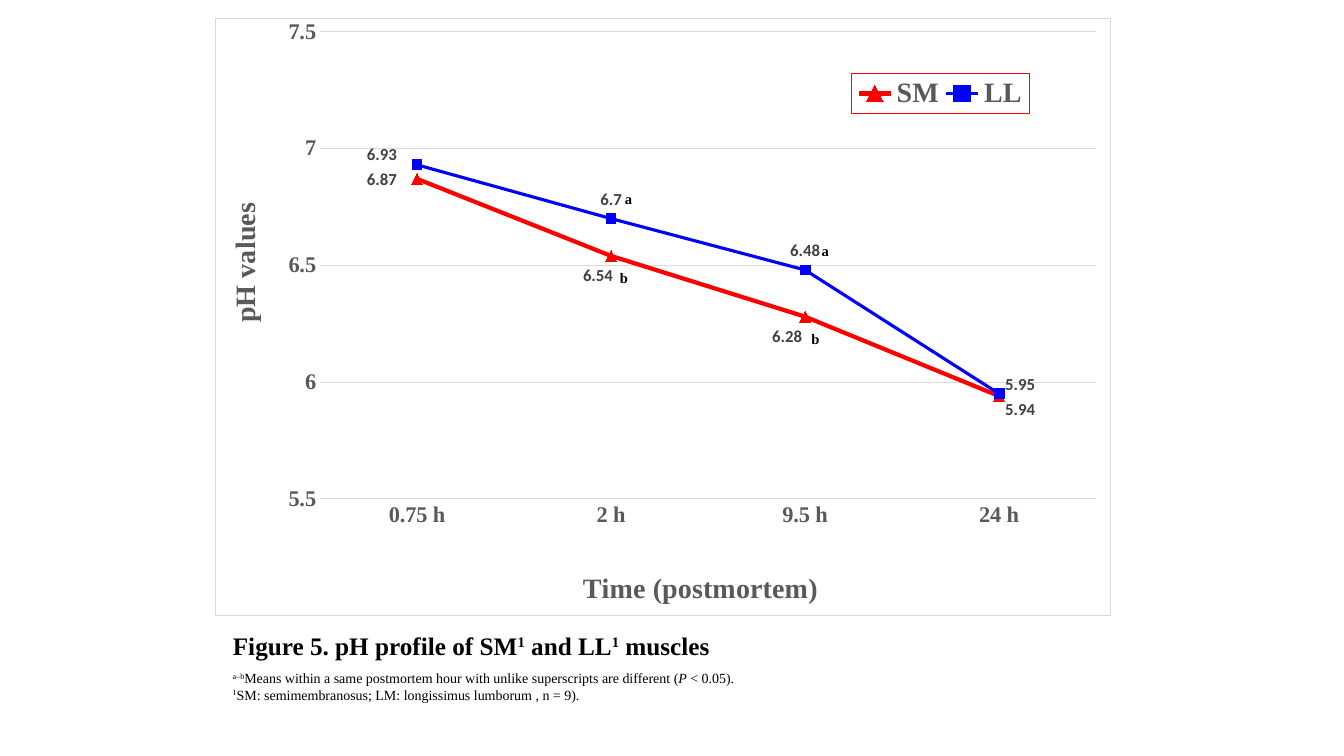
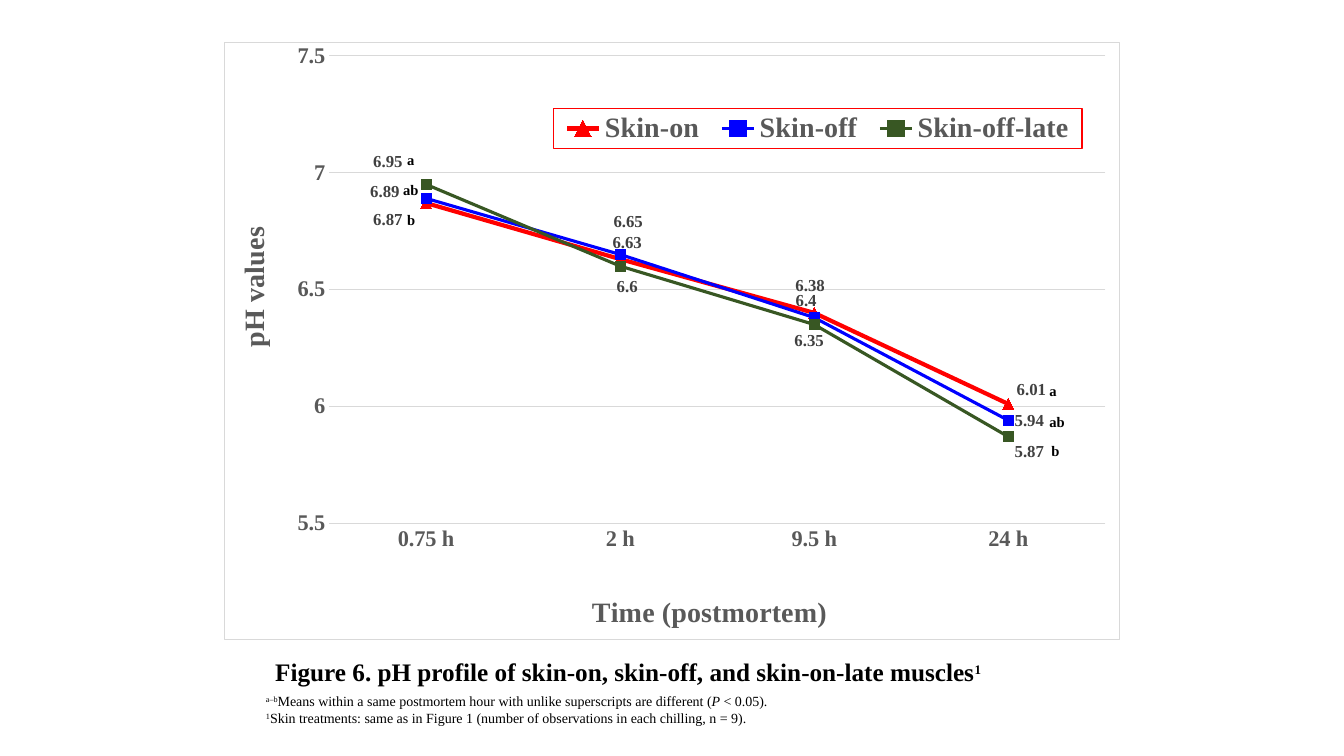
from dataclasses import dataclass

import pptx
import pptx.chart.data
import pptx.dml.color
import pptx.enum.chart
import pptx.enum.text
import pptx.oxml
import pptx.oxml.ns
import pptx.util

Inches = pptx.util.Inches
Pt = pptx.util.Pt
qn = pptx.oxml.ns.qn


@dataclass(frozen=True)
class Theme:
    serif: str = "Times New Roman"
    sans: str = "Calibri"
    ink: str = "000000"
    axis: str = "595959"
    label: str = "404040"
    rule: str = "D9D9D9"
    red: str = "FF0000"
    blue: str = "0000FF"
    green: str = "385723"
    axis_title: int = 20
    tick: int = 16
    value: int = 12
    caption: int = 18
    letter: int = 18
    note: int = 10


THEME = Theme()
CHART_SIZE = (8.89, 5.93)
CATEGORIES = ["0.75 h", "2 h", "9.5 h", "24 h"]
PLOT_AREA = (0.117, 0.022, 0.867, 0.783)
TIME_TITLE = ("Time (postmortem)", (0.405, 0.915))
PH_TITLE = ("pH values", (0.007, 0.3))
RAISED = {"baseline": 30}

SERIES_STYLES = [
    (THEME.red, 3, "TRIANGLE", 8),
    (THEME.blue, 2.25, "SQUARE", 7),
    (THEME.green, 2.25, "SQUARE", 7),
]

MEANS_NOTE = [
    ("a–b", RAISED),
    ("Means within a same postmortem hour with unlike superscripts are different (", {}),
    ("P", {"italic": True}),
    (" < 0.05).", {}),
]

FIGURES = [
    {
        "chart_at": (2.13, 0.18),
        "legend": (0.711, 0.092, 0.198, 0.067),
        "label_font": THEME.sans,
        "series": [
            ("SM", [6.87, 6.54, 6.28, 5.94],
             [(-0.35, 0.2), (-0.13, 0.39), (-0.18, 0.39), (0.21, 0.33)]),
            ("LL", [6.93, 6.7, 6.48, 5.95],
             [(-0.35, 0.09), None, None, (0.21, 0.1)]),
        ],
        "letters": [("a", 6.1, 1.67), ("b", 6.05, 2.45), ("a", 8.05, 2.18), ("b", 7.95, 3.06)],
        "caption_at": (2.21, 6.18, 5.43, 0.41),
        "caption": [
            ("Figure 5. pH profile of SM", {}),
            ("1", RAISED),
            (" and LL", {}),
            ("1", RAISED),
            (" muscles", {}),
        ],
        "notes_at": (2.21, 6.59, 5.27, 0.44),
        "note": "SM: semimembranosus; LM: longissimus lumborum , n = 9).",
    },
    {
        "chart_at": (2.22, 0.42),
        "legend": (0.368, 0.11, 0.59, 0.067),
        "label_font": THEME.serif,
        "series": [
            ("Skin-on", [6.87, 6.63, 6.4, 6.01],
             [(-0.38, 0.35), (0.07, 0.02), (-0.08, 0.06), (0.23, 0.04)]),
            ("Skin-off", [6.89, 6.65, 6.38, 5.94],
             [(-0.41, 0.11), (0.08, -0.15), (-0.04, -0.14), (0.21, 0.18)]),
            ("Skin-off-late", [6.95, 6.6, 6.35, 5.87],
             [(-0.38, -0.05), (0.07, 0.38), (-0.05, 0.34), (0.21, 0.33)]),
        ],
        "letters": [("a", 3.94, 1.28), ("b", 3.94, 1.88), ("a", 10.31, 3.57),
                    ("b", 10.33, 4.17), ("ab", 3.9, 1.58), ("ab", 10.31, 3.88)],
        "caption_at": (2.63, 6.44, 7.68, 0.41),
        "caption": [
            ("Figure 6. pH profile of skin-on, skin-off, and skin-on-late muscles", {}),
            ("1", {"baseline": 30, "size": 16}),
        ],
        "notes_at": (2.54, 6.82, 5.27, 0.44),
        "note": "Skin treatments: same as in Figure 1 (number of observations in each chilling, n = 9).",
    },
]


def rgb(color):
    return pptx.dml.color.RGBColor.from_string(color)


def style_font(font, size, color=THEME.ink, bold=False, italic=False, name=THEME.serif):
    font.name = name
    font.size = Pt(size)
    font.bold = bold
    font.italic = italic
    font.color.rgb = rgb(color)


def style_line(line, color, width):
    line.color.rgb = rgb(color)
    line.width = Pt(width)


def write_text(frame, paragraphs, spacing=1.0, **base):
    for index, spans in enumerate(paragraphs):
        para = frame.add_paragraph() if index else frame.paragraphs[0]
        para.line_spacing = spacing
        for text, extra in spans:
            style = {**base, **extra}
            baseline = style.pop("baseline", 0)
            span = para.add_run()
            span.text = text
            style_font(span.font, **style)
            if baseline:
                span._r.get_or_add_rPr().set("baseline", str(baseline * 1000))


def add_text(page, at, paragraphs, wrap=True, **style):
    box = page.shapes.add_textbox(*map(Inches, at))
    box.text_frame.word_wrap = wrap
    box.text_frame.auto_size = pptx.enum.text.MSO_AUTO_SIZE.SHAPE_TO_FIT_TEXT
    write_text(box.text_frame, paragraphs, **style)


def set_layout(element, place, after=None, inner=False, edge=True):
    for old in element.findall(qn("c:layout")):
        element.remove(old)
    parts = ['<c:layoutTarget val="inner"/>'] if inner else []
    if edge:
        parts += ['<c:xMode val="edge"/>', '<c:yMode val="edge"/>']
    parts += [f'<c:{key} val="{value:.4f}"/>' for key, value in zip("xywh", place)]
    layout = pptx.oxml.parse_xml(
        f'<c:layout {pptx.oxml.ns.nsdecls("c")}><c:manualLayout>'
        f'{"".join(parts)}</c:manualLayout></c:layout>')
    if after:
        element.find(qn(after)).addnext(layout)
    else:
        element.insert(0, layout)


def outline(element, after, color):
    element.find(qn(after)).addnext(pptx.oxml.parse_xml(
        f'<c:spPr {pptx.oxml.ns.nsdecls("c", "a")}><a:noFill/><a:ln w="{Pt(0.75)}">'
        f'<a:solidFill><a:srgbClr val="{color}"/></a:solidFill></a:ln></c:spPr>'))


def style_axis(axis, title, place):
    axis.major_tick_mark = axis.minor_tick_mark = pptx.enum.chart.XL_TICK_MARK.NONE
    style_font(axis.tick_labels.font, THEME.tick, THEME.axis, bold=True)
    axis.has_title = True
    write_text(axis.axis_title.text_frame, [[(title, {})]],
               size=THEME.axis_title, color=THEME.axis, bold=True)
    element = axis.axis_title.element
    set_layout(element, place, after="c:tx")
    return element


def style_series(series, element, style, offsets, label_font):
    color, width, marker, size = style
    series.smooth = False
    style_line(series.format.line, color, width)
    series.marker.style = pptx.enum.chart.XL_MARKER_STYLE[marker]
    series.marker.size = size
    series.marker.format.fill.solid()
    series.marker.format.fill.fore_color.rgb = rgb(color)
    style_line(series.marker.format.line, color, 0.75)
    above = pptx.enum.chart.XL_LABEL_POSITION.ABOVE
    labels = series.data_labels
    labels.show_value = True
    labels.position = above
    style_font(labels.font, THEME.value, THEME.label, bold=True, name=label_font)
    moved = [(index, offset) for index, offset in enumerate(offsets) if offset]
    for index, _ in moved:
        label = series.points[index].data_label
        label.position = above
        style_font(label.font, THEME.value, THEME.label, bold=True, name=label_font)
    for (_, offset), label in zip(moved, element.iter(qn("c:dLbl"))):
        shift = [move / length for move, length in zip(offset, CHART_SIZE)]
        set_layout(label, shift, after="c:idx", edge=False)
    for leader in element.iter(qn("c:showLeaderLines")):
        leader.set("val", "0")


def add_ph_chart(page, figure):
    data = pptx.chart.data.CategoryChartData()
    data.categories = CATEGORIES
    for name, values, _ in figure["series"]:
        data.add_series(name, values)
    chart = page.shapes.add_chart(
        pptx.enum.chart.XL_CHART_TYPE.LINE_MARKERS,
        *map(Inches, figure["chart_at"] + CHART_SIZE), data).chart
    root = chart.element
    chart.has_title = False
    chart.plots[0].vary_by_categories = False
    style_font(chart.font, 10, name=THEME.sans)
    outline(root, "c:chart", THEME.rule)
    set_layout(next(root.iter(qn("c:plotArea"))), PLOT_AREA, inner=True)

    style_axis(chart.category_axis, *TIME_TITLE)
    style_line(chart.category_axis.format.line, THEME.rule, 0.75)
    value_axis = chart.value_axis
    value_title = style_axis(value_axis, *PH_TITLE)
    next(value_title.iter(qn("a:bodyPr"))).set("rot", "-5400000")
    value_axis.format.line.fill.background()
    value_axis.minimum_scale, value_axis.maximum_scale = 5.5, 7.5
    value_axis.major_unit = 0.5
    style_line(value_axis.major_gridlines.format.line, THEME.rule, 0.75)

    chart.has_legend = True
    chart.legend.position = pptx.enum.chart.XL_LEGEND_POSITION.BOTTOM
    chart.legend.include_in_layout = False
    style_font(chart.legend.font, THEME.axis_title, THEME.axis, bold=True)
    legend = next(root.iter(qn("c:legend")))
    set_layout(legend, figure["legend"], after="c:legendPos")
    outline(legend, "c:overlay", THEME.red)

    elements = list(root.iter(qn("c:ser")))
    for series, element, style, (_, _, offsets) in zip(
            chart.plots[0].series, elements, SERIES_STYLES, figure["series"]):
        style_series(series, element, style, offsets, figure["label_font"])


def add_caption(page, figure):
    title = page.shapes.title
    title.left, title.top, title.width, title.height = map(Inches, figure["caption_at"])
    frame = title.text_frame
    frame.word_wrap = True
    frame.auto_size = pptx.enum.text.MSO_AUTO_SIZE.NONE
    frame.vertical_anchor = pptx.enum.text.MSO_ANCHOR.TOP
    write_text(frame, [figure["caption"]], spacing=1.07, size=THEME.caption, bold=True)
    frame.paragraphs[0].alignment = pptx.enum.text.PP_ALIGN.LEFT


def add_figure(deck, figure):
    page = deck.slides.add_slide(deck.slide_layouts.get_by_name("Title Only"))
    add_ph_chart(page, figure)
    for letter, left, top in figure["letters"]:
        width = 0.2 + 0.09 * len(letter)
        add_text(page, (left, top, width, 0.3), [[(letter, {"baseline": -25})]],
                 wrap=False, size=THEME.letter, bold=True)
    add_caption(page, figure)
    add_text(page, figure["notes_at"], [MEANS_NOTE, [("1", RAISED), (figure["note"], {})]],
             size=THEME.note)


def main():
    deck = pptx.Presentation()
    deck.slide_width, deck.slide_height = Inches(13.33), Inches(7.5)
    for figure in FIGURES:
        add_figure(deck, figure)
    deck.save("out.pptx")


if __name__ == "__main__":
    main()
